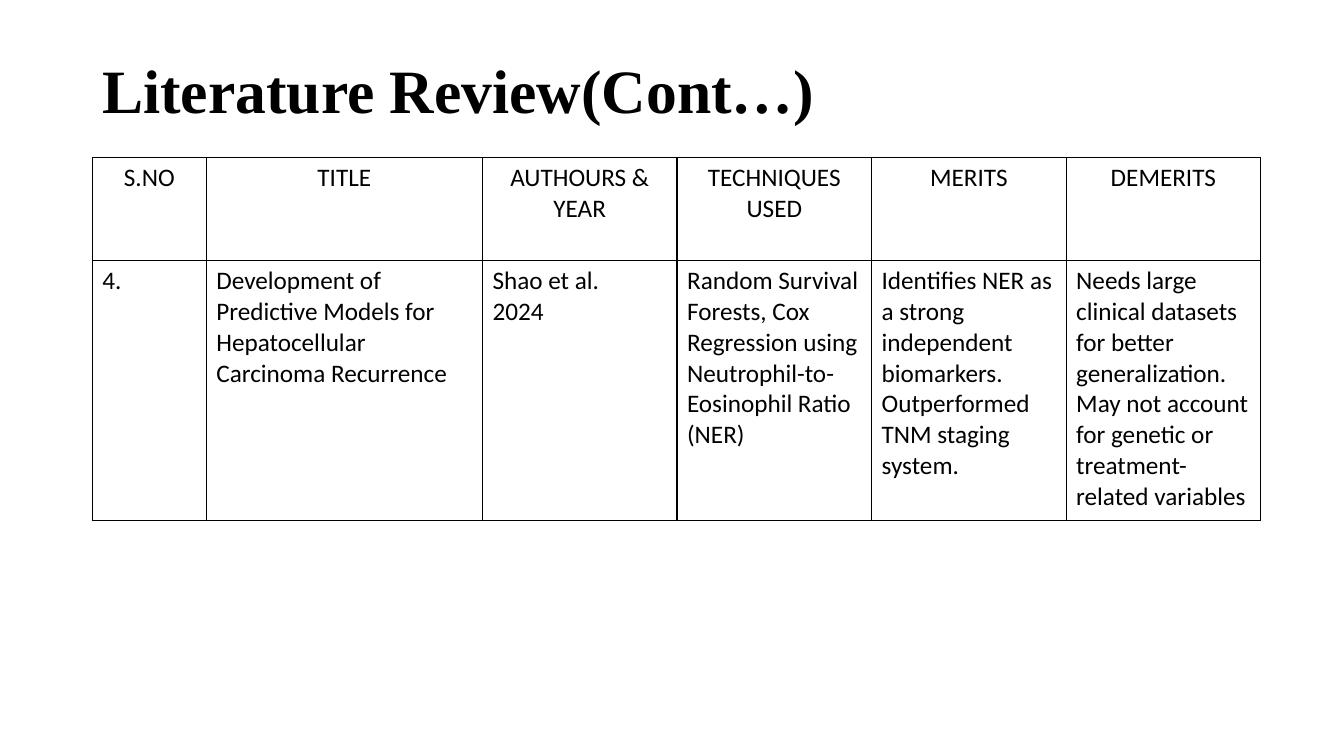
"""Build a literature review slide with a title and a bordered table."""
import lxml.etree
import pptx
import pptx.dml.color
import pptx.enum.text
import pptx.oxml
import pptx.oxml.ns
import pptx.util

Pt = pptx.util.Pt
ALIGN = pptx.enum.text.PP_ALIGN
COLORS = {"text": "000000", "border": "000000", "background": "FFFFFF"}
COLUMN_WIDTHS = [81.36, 197.28] + [139] * 4
ROW_HEIGHTS = [73.5, 185.7]
HEADERS = ["S.NO", "TITLE", "AUTHOURS & YEAR", "TECHNIQUES USED", "MERITS", "DEMERITS"]
REVIEW = [
    "4.",
    "Development of Predictive Models for Hepatocellular Carcinoma Recurrence",
    "Shao et al.\n2024",
    "Random Survival Forests, Cox Regression using Neutrophil-to-Eosinophil Ratio (NER)",
    "Identifies NER as a strong independent biomarkers.\nOutperformed TNM staging system.",
    "Needs large clinical datasets for better generalization.\n"
    "May not account for genetic or treatment-related\u00a0variables",
]


def rgb(name):
    return pptx.dml.color.RGBColor.from_string(COLORS[name])


def write_text(tf, text, size=18, font="Calibri", bold=False, align=ALIGN.LEFT, spacing=None):
    tf.word_wrap = True
    for i, line in enumerate(text.split("\n")):
        p = tf.paragraphs[0] if i == 0 else tf.add_paragraph()
        p.alignment = align
        p.line_spacing = spacing
        r = p.add_run()
        r.text = line
        r.font.name = font
        r.font.size = Pt(size)
        r.font.bold = bold
        r.font.color.rgb = rgb("text")


def add_title(s, text):
    sp = s.shapes.add_textbox(Pt(66), Pt(28.75), Pt(828), Pt(75.6))
    sp.text_frame.vertical_anchor = pptx.enum.text.MSO_ANCHOR.MIDDLE
    write_text(sp.text_frame, text, size=44, font="Times New Roman", bold=True, spacing=0.9)


def set_borders(cell, width=1):
    tcPr = cell._tc.get_or_add_tcPr()
    for i, side in enumerate(["lnL", "lnR", "lnT", "lnB"]):
        ln = pptx.oxml.parse_xml(
            f'<a:{side} {pptx.oxml.ns.nsdecls("a")} w="{Pt(width)}"><a:solidFill>'
            f'<a:srgbClr val="{COLORS["border"]}"/></a:solidFill></a:{side}>'
        )
        tcPr.insert(i, ln)


def add_review_table(s, rows):
    width, height = sum(COLUMN_WIDTHS), sum(ROW_HEIGHTS)
    frame = s.shapes.add_table(
        len(rows), len(COLUMN_WIDTHS), Pt(66), Pt(112.75), Pt(width), Pt(height)
    )
    table = frame.table
    table.horz_banding = False
    table.first_row = False
    for column, column_width in zip(table.columns, COLUMN_WIDTHS):
        column.width = Pt(column_width)
    for i, (row, row_height) in enumerate(zip(rows, ROW_HEIGHTS)):
        table.rows[i].height = Pt(row_height)
        for j, text in enumerate(row):
            cell = table.cell(i, j)
            cell.fill.background()
            set_borders(cell)
            write_text(cell.text_frame, text, align=ALIGN.CENTER if i == 0 else ALIGN.LEFT)


def main():
    prs = pptx.Presentation()
    prs.slide_width, prs.slide_height = Pt(960), Pt(540)
    s = prs.slides.add_slide(prs.slide_layouts[6])
    s.background.fill.solid()
    s.background.fill.fore_color.rgb = rgb("background")
    add_title(s, "Literature Review(Cont…)")
    add_review_table(s, [HEADERS, REVIEW])
    prs.save("out.pptx")


if __name__ == "__main__":
    main()
